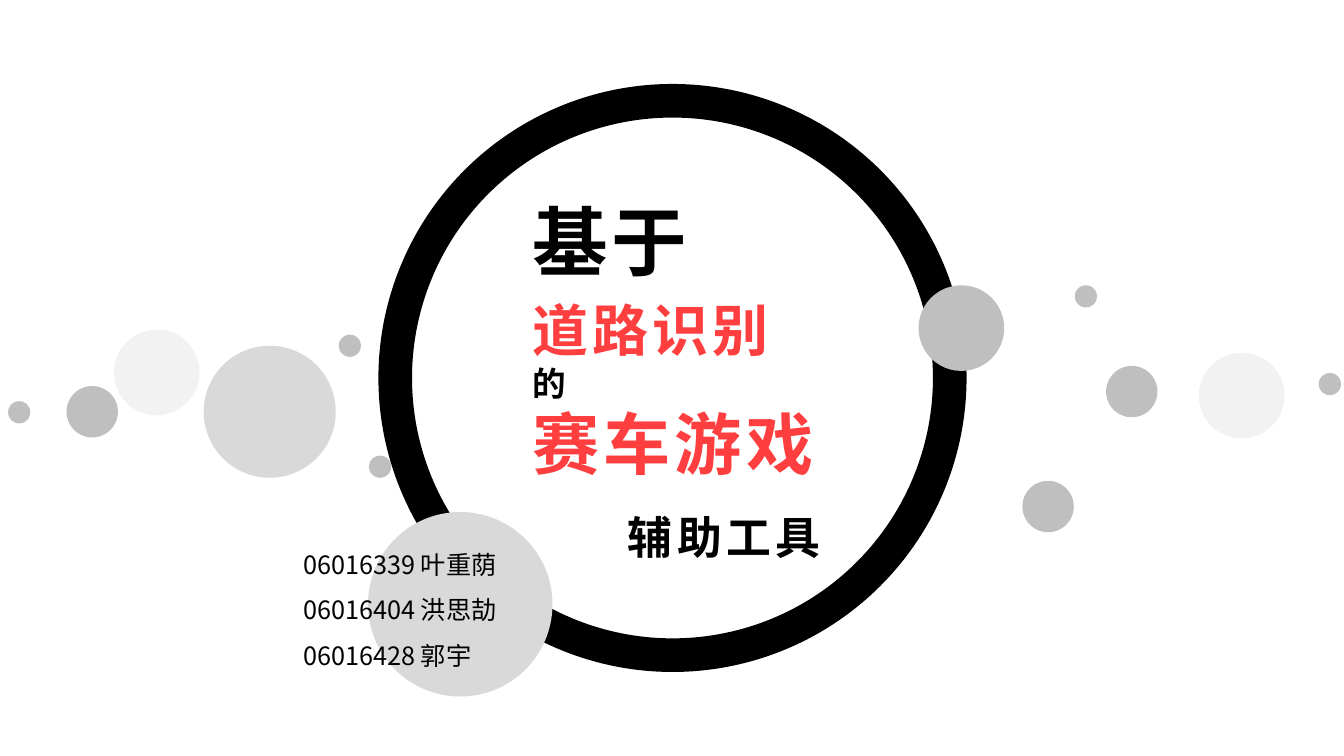
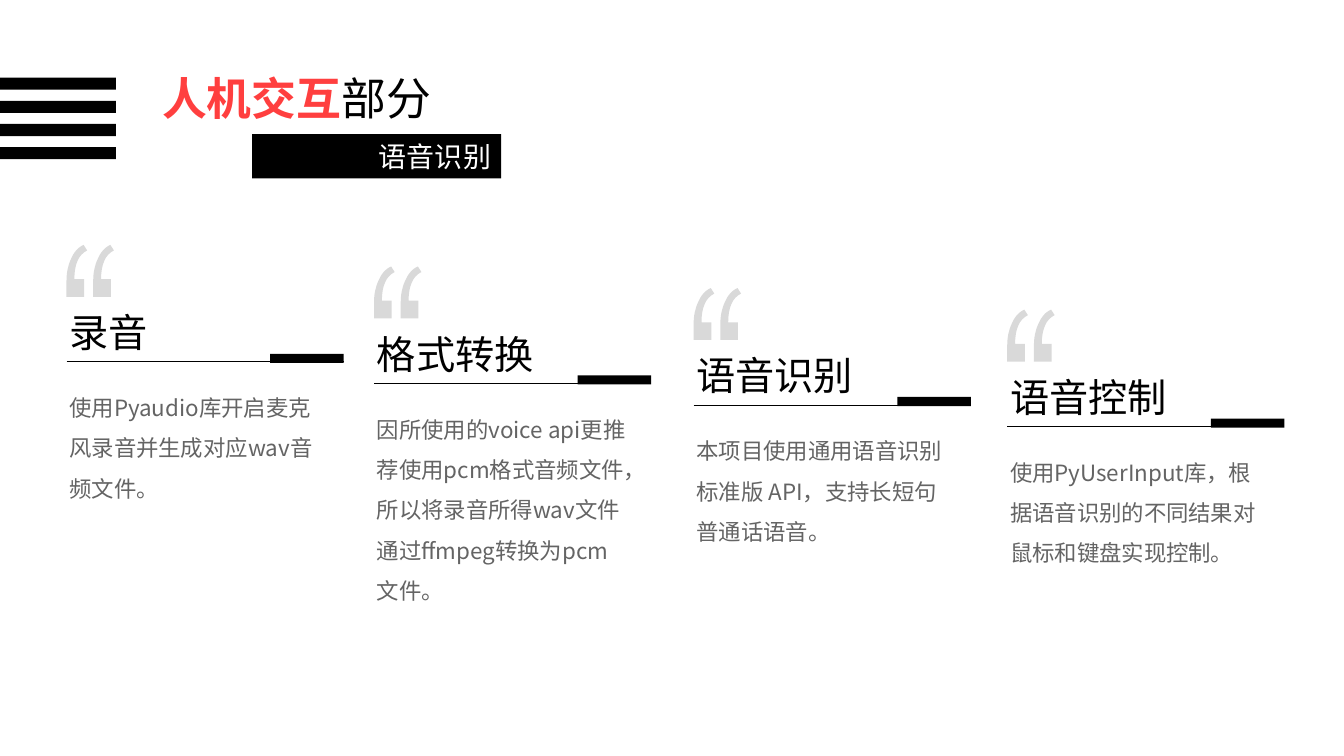
from lxml import etree
from pptx import Presentation
from pptx.dml.color import RGBColor
from pptx.enum.shapes import MSO_CONNECTOR, MSO_SHAPE
from pptx.enum.text import MSO_ANCHOR, PP_ALIGN
from pptx.oxml.ns import qn
from pptx.util import Pt

# Shared style
PX = 9144  # 100 px to the inch
FONT = "Noto Sans CJK SC"
BLACK = RGBColor(0x00, 0x00, 0x00)
WHITE = RGBColor(0xFF, 0xFF, 0xFF)
RED = RGBColor(0xFF, 0x3F, 0x3F)
BODY = RGBColor(0x64, 0x64, 0x64)
PALE = RGBColor(0xF2, 0xF2, 0xF2)
LIGHT = RGBColor(0xD9, 0xD9, 0xD9)
GREY = RGBColor(0xBF, 0xBF, 0xBF)

# Cover content: box, paragraph format, paragraphs of (text, font format) runs
COVER = {"bold": True, "spc": 300}
TOPIC = [
    ((518, 288, 318, 199), {}, [
        [("道路识别", {"size": Pt(40), "color": RED, **COVER})],
        [("的", {"size": Pt(24), "color": BLACK, **COVER})],
        [("赛车游戏", {"size": Pt(48), "color": RED, **COVER})]]),
    ((518, 188, 311, 101), {}, [[("基于", {"size": Pt(54), "color": BLACK, **COVER})]]),
    ((613, 450, 312, 99), {"line_spacing": Pt(75.2)},
     [[("辅助工具", {"size": Pt(32), "color": BLACK, **COVER})]]),
]
MEMBERS = ["06016339 叶重荫", "06016404 洪思劼", "06016428 郭宇"]
RING = (392, 100, 550, 550)
# Diameter, colour, top left corners
BUBBLES = [
    (131, LIGHT, [(202, 343)]),
    (51, GREY, [(66, 383), (1014, 477), (1097, 363)]),
    (22, GREY, [(336, 332), (8, 398), (366, 452), (1308, 370), (1066, 283)]),
    (85, PALE, [(113, 327), (1189, 350)]),
    (85, GREY, [(911, 283)]),
    (183, LIGHT, [(365, 508)]),
]

# Voice slide content
HEADING = [("人机交互", {"size": Pt(32), "color": RED, "bold": True}),
           ("部分", {"size": Pt(32), "color": BLACK})]
SUBTITLE = "语音识别"
# Left edge, title, description, description height
STEPS = [
    (66, "录音", "使用Pyaudio库开启麦克风录音并生成对应wav音频文件。", 127),
    (371, "格式转换", "因所使用的voice api更推荐使用pcm格式音频文件，所以将录音所得"
     "wav文件通过ffmpeg转换为pcm文件。", 207),
    (688, "语音识别", "本项目使用通用语音识别标准版 API，支持长短句普通话语音。", 167),
    (999, "语音控制", "使用PyUserInput库，根据语音识别的不同结果对鼠标和键盘实现控制。", 167),
]
STEP_TOP, STEP_DROP = 243, 21.4
# One quote mark, in tenths of a px: start, then line ends and curves
QUOTE = [(170, 0), [(205, 55)], [(120, 100), (78, 190), (78, 340)], [(175, 340)],
         [(175, 515)], [(0, 515)], [(0, 355)], [(0, 280), (15, 205), (45, 140)],
         [(75, 70), (115, 25), (170, 0)]]
QUOTE_STEP = 265


def emu(*lengths):
    return [round(v * PX) for v in lengths]


def set_format(obj, values):
    for name, value in values.items():
        setattr(obj, name, value)


def write(sp, paragraphs, para_format=None):
    tf = sp.text_frame
    tf.word_wrap = True
    for i, runs in enumerate(paragraphs):
        p = tf.paragraphs[0] if i == 0 else tf.add_paragraph()
        set_format(p, para_format or {})
        for text, values in runs:
            values = dict(values)
            r = p.add_run()
            r.text = text
            r.font.color.rgb = values.pop("color")
            rPr = r.font._element
            if "spc" in values:
                rPr.set("spc", str(values.pop("spc")))
            set_format(r.font, {"name": FONT, **values})
            etree.SubElement(rPr, qn("a:ea")).set("typeface", FONT)


def add_text(s, box, paragraphs, para_format=None):
    write(s.shapes.add_textbox(*emu(*box)), paragraphs, para_format)


def paint(sp, color):
    sp.shadow.inherit = False
    sp.fill.solid()
    sp.fill.fore_color.rgb = color
    sp.line.fill.background()


def add_solid(s, kind, box, color):
    sp = s.shapes.add_shape(kind, *emu(*box))
    paint(sp, color)
    return sp


def add_rule(s, x, y, width):
    line = s.shapes.add_connector(MSO_CONNECTOR.STRAIGHT, *emu(x, y, x + width, y))
    line.line.color.rgb = BLACK
    line.line.width = Pt(0.5)
    etree.SubElement(line._element.spPr, qn("a:effectLst"))


def add_quotes(s, x, y):
    """Draw two quote marks as one outline, flattening each cubic curve."""
    builder = None
    for shift in (QUOTE_STEP, 0):
        start = pen = QUOTE[0]
        points = []
        for part in QUOTE[1:]:
            if len(part) == 1:
                points += part
            else:
                a, b, c = part
                for t in (k / 8 for k in range(1, 9)):
                    u = 1 - t
                    points.append(tuple(
                        u**3 * pen[i] + 3 * u * u * t * a[i] + 3 * u * t * t * b[i] + t**3 * c[i]
                        for i in (0, 1)))
            pen = part[-1]
        if builder is None:
            builder = s.shapes.build_freeform(start[0] + shift, start[1], scale=PX / 10)
        else:
            builder.move_to(start[0] + shift, start[1])
        builder.add_line_segments([(px + shift, py) for px, py in points], close=True)
    paint(builder.convert_to_shape(*emu(x, y)), LIGHT)


def build_cover(s):
    for box, para_format, paragraphs in TOPIC:
        add_text(s, box, paragraphs, para_format)
    # Ring and bubbles
    ring = s.shapes.add_shape(MSO_SHAPE.OVAL, *emu(*RING))
    ring.shadow.inherit = False
    ring.fill.background()
    ring.line.color.rgb = BLACK
    ring.line.width = Pt(24)
    for size, color, corners in BUBBLES:
        for x, y in corners:
            add_solid(s, MSO_SHAPE.OVAL, (x, y, size, size), color)
    # Team members
    add_text(s, (291, 525, 245, 187),
             [[(name, {"size": Pt(18), "color": BLACK})] for name in MEMBERS],
             {"line_spacing": 1.5})


def build_voice(s):
    # Heading with stripes and subtitle band
    add_text(s, (151, 65, 402, 64), [HEADING])
    for i in range(4):
        add_solid(s, MSO_SHAPE.RECTANGLE, (0, 77 + 23 * i, 115, 12), BLACK)
    band = add_solid(s, MSO_SHAPE.RECTANGLE, (250, 133, 247, 44), BLACK)
    band.text_frame.vertical_anchor = MSO_ANCHOR.MIDDLE
    write(band, [[(SUBTITLE, {"size": Pt(20), "color": WHITE})]], {"alignment": PP_ALIGN.RIGHT})
    # Steps, each a little lower than the last
    for i, (x, title, text, height) in enumerate(STEPS):
        y = STEP_TOP + STEP_DROP * i
        add_rule(s, x, y + 116, 275)
        add_solid(s, MSO_SHAPE.RECTANGLE, (x + 202, y + 108, 73, 9), BLACK)
        add_text(s, (x - 7, y + 58, 216, 57), [[(title, {"size": Pt(28), "color": BLACK})]])
        add_text(s, (x - 7, y + 130, 267, height), [[(text, {"size": Pt(16), "color": BODY})]],
                 {"line_spacing": 1.5})
        add_quotes(s, x, y)


def main():
    prs = Presentation()
    prs.slide_width, prs.slide_height = emu(1333, 750)
    for build in (build_cover, build_voice):
        build(prs.slides.add_slide(prs.slide_layouts[6]))
    prs.save("out.pptx")


if __name__ == "__main__":
    main()
